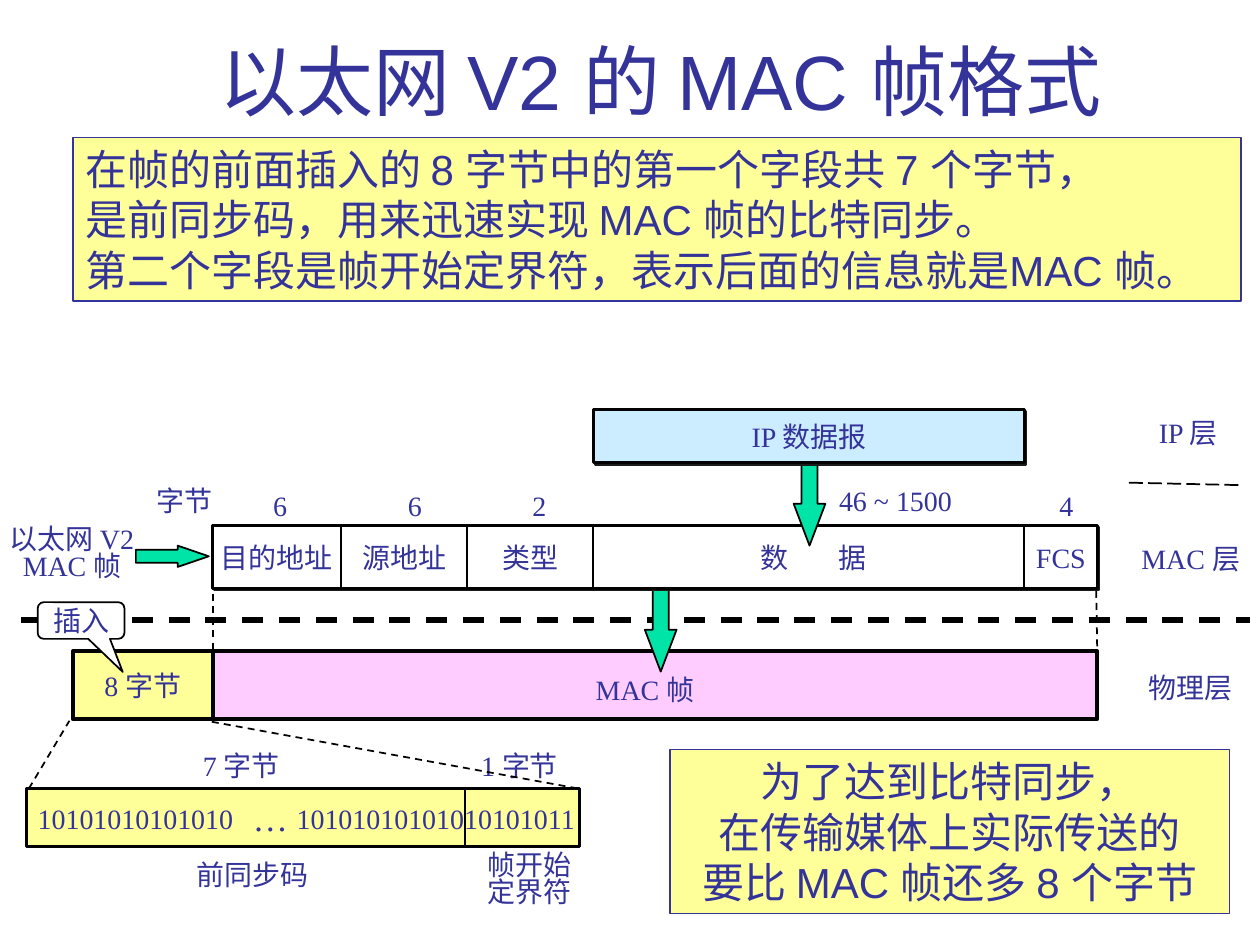
import dataclasses

import pptx
import pptx.dml.color
import pptx.enum.dml
import pptx.enum.shapes
import pptx.enum.text
import pptx.oxml.ns
import pptx.util
from lxml import etree

Cm = pptx.util.Cm
SHAPE = pptx.enum.shapes.MSO_SHAPE
DASH = pptx.enum.dml.MSO_LINE
ALIGN = pptx.enum.text.PP_ALIGN
ANCHOR = pptx.enum.text.MSO_ANCHOR
qn = pptx.oxml.ns.qn


@dataclasses.dataclass(frozen=True)
class Theme:
    """Colours, fonts and type sizes of the slide."""
    ink: str = "333399"
    line: str = "000000"
    shadow: str = "1C1C1C"
    paper: str = "FFFFFF"
    yellow: str = "FFFF99"
    pink: str = "FFCCFF"
    blue: str = "CCECFF"
    green: str = "00E4A8"
    sans: str = "Arial"
    note: str = "Roboto"
    serif: str = "Times New Roman"
    title_size: int = 44
    body_size: int = 24
    dots_size: int = 20
    label_size: int = 16


@dataclasses.dataclass(frozen=True)
class Box:
    """A region in centimetres."""
    left: float
    top: float
    width: float
    height: float

    def inner(self, x, y, width, height):
        """Return a box placed relative to this one."""
        return Box(self.left + x, self.top + y, width, height)

    def emu(self):
        """Return left, top, width and height as lengths."""
        return [Cm(v) for v in (self.left, self.top, self.width, self.height)]


THEME = Theme()
LABEL_HEIGHT = 0.91


def rgb(code):
    """Turn a hex code into a colour."""
    return pptx.dml.color.RGBColor.from_string(code)


def write(frame, text, size=THEME.label_size, font=THEME.serif, align=ALIGN.LEFT,
          anchor=ANCHOR.TOP, wrap=False, spacing=None, tab=None, indents=()):
    """Fill a text frame with one paragraph per line."""
    frame.word_wrap = wrap
    frame.auto_size = pptx.enum.text.MSO_AUTO_SIZE.NONE
    frame.vertical_anchor = anchor
    for index, line in enumerate(text.split("\n")):
        paragraph = frame.paragraphs[0] if index == 0 else frame.add_paragraph()
        paragraph.alignment = align
        if spacing:
            paragraph.line_spacing = spacing
        properties = paragraph._p.get_or_add_pPr()
        if index < len(indents):
            properties.set("marL", str(Cm(indents[index])))
        if tab:
            stops = etree.SubElement(properties, qn("a:tabLst"))
            etree.SubElement(stops, qn("a:tab"), pos=str(Cm(tab)), algn="l")
        run = paragraph.add_run()
        run.text = line
        run.font.size = pptx.util.Pt(size)
        run.font.name = font
        run.font.color.rgb = rgb(THEME.ink)


def add_label(slide, box, text, **style):
    """Add a text box."""
    label = slide.shapes.add_textbox(*box.emu())
    write(label.text_frame, text, **style)


def add_block(slide, box, fill, kind=SHAPE.RECTANGLE, weight=1.0, line=THEME.line,
              adjustments=(), shadow=False):
    """Add a filled, outlined preset shape."""
    block = slide.shapes.add_shape(kind, *box.emu())
    block.shadow.inherit = False
    block.fill.solid()
    block.fill.fore_color.rgb = rgb(fill)
    block.line.color.rgb = rgb(line)
    block.line.width = pptx.util.Pt(weight)
    for index, value in enumerate(adjustments):
        block.adjustments[index] = value
    if shadow:
        effects = block._element.spPr.find(qn("a:effectLst"))
        outer = etree.SubElement(effects, qn("a:outerShdw"), dist=str(pptx.util.Pt(1.4)),
                                 dir="2700000", algn="ctr", rotWithShape="0")
        etree.SubElement(outer, qn("a:srgbClr"), val=THEME.shadow)
    return block


def add_line(slide, box, start, end, weight=1.0, dash=None):
    """Draw a straight line between two points of a box."""
    ends = [Cm(v) for x, y in (start, end) for v in (box.left + x, box.top + y)]
    line = slide.shapes.add_connector(pptx.enum.shapes.MSO_CONNECTOR.STRAIGHT, *ends)
    line.line.color.rgb = rgb(THEME.line)
    line.line.width = pptx.util.Pt(weight)
    if dash:
        line.line.dash_style = dash
    etree.SubElement(line._element.spPr, qn("a:effectLst"))


def add_down_arrow(slide, box):
    """Add a green arrow that leads to the layer below."""
    add_block(slide, box, THEME.green, SHAPE.DOWN_ARROW, adjustments=(0.5, 1.32))


def set_title(slide, box):
    """Place and format the title."""
    title = slide.shapes.title
    title.left, title.top, title.width, title.height = box.emu()
    write(title.text_frame, "以太网 V2 的 MAC 帧格式", size=THEME.title_size, font=THEME.sans,
          align=ALIGN.CENTER, anchor=ANCHOR.BOTTOM, wrap=True)


def add_note(slide, box, text, align=ALIGN.LEFT):
    """Add a yellow explanatory panel."""
    note = add_block(slide, box, THEME.yellow, weight=0.75, line=THEME.ink)
    write(note.text_frame, text, size=THEME.body_size, font=THEME.sans, align=align)
    return note


def add_layers(slide, box):
    """Name the protocol layers and draw the lines between them."""
    add_line(slide, box, (0, 4.24), (box.width, 4.24), 3, DASH.DASH)
    add_line(slide, box, (22.33, 1.47), (24.61, 1.52), dash=DASH.LONG_DASH)
    for name, x, y, width in (("IP 层", 22.68, 0, 1.85), ("MAC 层", 22.33, 2.54, 2.62),
                              ("物理层", 22.48, 5.13, 2.18)):
        add_label(slide, box.inner(x, y, width, LABEL_HEIGHT), name)


def add_physical_frame(slide, box):
    """Draw the frame as the physical layer carries it."""
    add_block(slide, box, THEME.pink, weight=2.25)
    add_label(slide, box.inner(7.47, 0.31, 2.62, LABEL_HEIGHT), "MAC 帧")


def add_mac_frame(slide, box):
    """Draw the fields of the MAC frame with their byte counts."""
    add_line(slide, box, (0, 1.14), (0, 2.57), dash=DASH.DASH)
    add_line(slide, box, (17.81, 1.32), (box.width, 2.54), dash=DASH.DASH)
    add_label(slide, box.inner(-4.34, -0.07, 3.15, 1.32), "以太网 V2\nMAC 帧",
              spacing=0.8, indents=(0, 0.26))
    add_block(slide, box.inner(-1.55, 0.41, 1.47, 0.43), THEME.green, SHAPE.RIGHT_ARROW,
              adjustments=(0.61, 1.46))
    add_down_arrow(slide, box.inner(8.71, 1.25, 0.64, 1.7))
    add_block(slide, box, THEME.paper, weight=1.5, shadow=True)

    fields = (("目的地址", 2.59, 2.77, "6", 1.36), ("源地址", 5.13, 2.18, "6", 4.08),
              ("类型", 7.67, 1.63, "2", 6.59), ("数\t据", 16.36, 2.64, "46 ~ 1500", 13.76),
              ("FCS", box.width, 1.5, "4", 17.21))
    start = 0
    for name, end, width, count, centre in fields:
        if end < box.width:
            add_line(slide, box, (end, 0), (end, box.height))
        is_data = "\t" in name
        left = (start + end - width) / 2 + (0.1 if is_data else 0)
        add_label(slide, box.inner(left, 0.18, width, LABEL_HEIGHT), name,
                  wrap=is_data, tab=1.57 if is_data else None)
        count_width, count_top = (2.77, -0.97) if is_data else (0.79, -0.86)
        add_label(slide, box.inner(centre - count_width / 2, count_top, count_width,
                                   LABEL_HEIGHT), count)
        start = end
    add_label(slide, box.inner(-1.39, -0.97, 1.63, LABEL_HEIGHT), "字节")


def add_datagram(slide, box):
    """Draw the IP datagram that drops into the data field."""
    add_down_arrow(slide, box.inner(4.04, 1.04, 0.64, 1.7))
    datagram = add_block(slide, box, THEME.blue, weight=1.5, shadow=True)
    write(datagram.text_frame, "IP 数据报", align=ALIGN.CENTER, anchor=ANCHOR.MIDDLE)


def add_preamble(slide, box):
    """Draw the eight inserted bytes and their bits."""
    centred = dict(align=ALIGN.CENTER, anchor=ANCHOR.MIDDLE)
    add_block(slide, box, THEME.yellow, weight=1.5)
    add_label(slide, box.inner(-0.02, 0.13, 11.6, LABEL_HEIGHT),
              "10101010101010\t10101010101010101011", wrap=True, tab=5.22)
    add_line(slide, box, (8.84, 0), (8.84, 1.19))
    for text, x, y, width in (("前同步码", 3.18, 1.27, 2.77), ("7 字节", 3.31, -0.94, 2.18),
                              ("1 字节", 8.92, -0.94, 2.18)):
        add_label(slide, box.inner(x, y, width, LABEL_HEIGHT), text)
    add_label(slide, box.inner(9.05, 1.19, 2.18, 1.32), "帧开始\n定界符", spacing=0.8)
    add_label(slide, box.inner(4.32, 0.03, 1.22, 1.12), "…", size=THEME.dots_size)
    add_line(slide, box, (0.05, 0), (0.87, -1.37), dash=DASH.DASH)
    add_line(slide, box, (3.74, -1.35), (box.width, 0), dash=DASH.DASH)
    inserted = add_block(slide, box.inner(0.94, -2.77, 2.82, 1.37), THEME.yellow, weight=2.25)
    write(inserted.text_frame, "8 字节", **centred)
    callout = add_block(slide, box.inner(0.23, -3.76, 1.75, 0.74), THEME.paper,
                        SHAPE.ROUNDED_RECTANGULAR_CALLOUT, adjustments=(0.48, 1.4, 0.17))
    write(callout.text_frame, "插入", **centred)


def main():
    """Build and save the slide."""
    deck = pptx.Presentation()
    deck.slide_width, deck.slide_height = Cm(25.4), Cm(19.05)
    slide = deck.slides.add_slide(deck.slide_layouts[5])
    set_title(slide, Box(2.49, 0.53, 21.64, 2.13))
    add_layers(slide, Box(0.43, 8.26, 24.77, 6.04))
    add_physical_frame(slide, Box(4.29, 13.13, 17.83, 1.37))
    add_mac_frame(slide, Box(4.29, 10.59, 17.83, 1.27))
    add_datagram(slide, Box(11.96, 8.26, 8.69, 1.07))
    add_preamble(slide, Box(0.53, 15.9, 11.15, 1.17))
    add_note(slide, Box(1.47, 2.77, 23.55, 3.3),
             "在帧的前面插入的 8 字节中的第一个字段共 7 个字节，\n"
             "是前同步码，用来迅速实现 MAC 帧的比特同步。\n"
             "第二个字段是帧开始定界符，表示后面的信息就是MAC 帧。")
    summary = add_note(slide, Box(13.51, 15.11, 11.28, 3.3),
                       "为了达到比特同步，\n在传输媒体上实际传送的\n要比 MAC 帧还多 8 个字节",
                       align=ALIGN.CENTER)
    summary.text_frame.paragraphs[0].runs[0].font.name = THEME.note
    deck.save("out.pptx")


if __name__ == "__main__":
    main()
